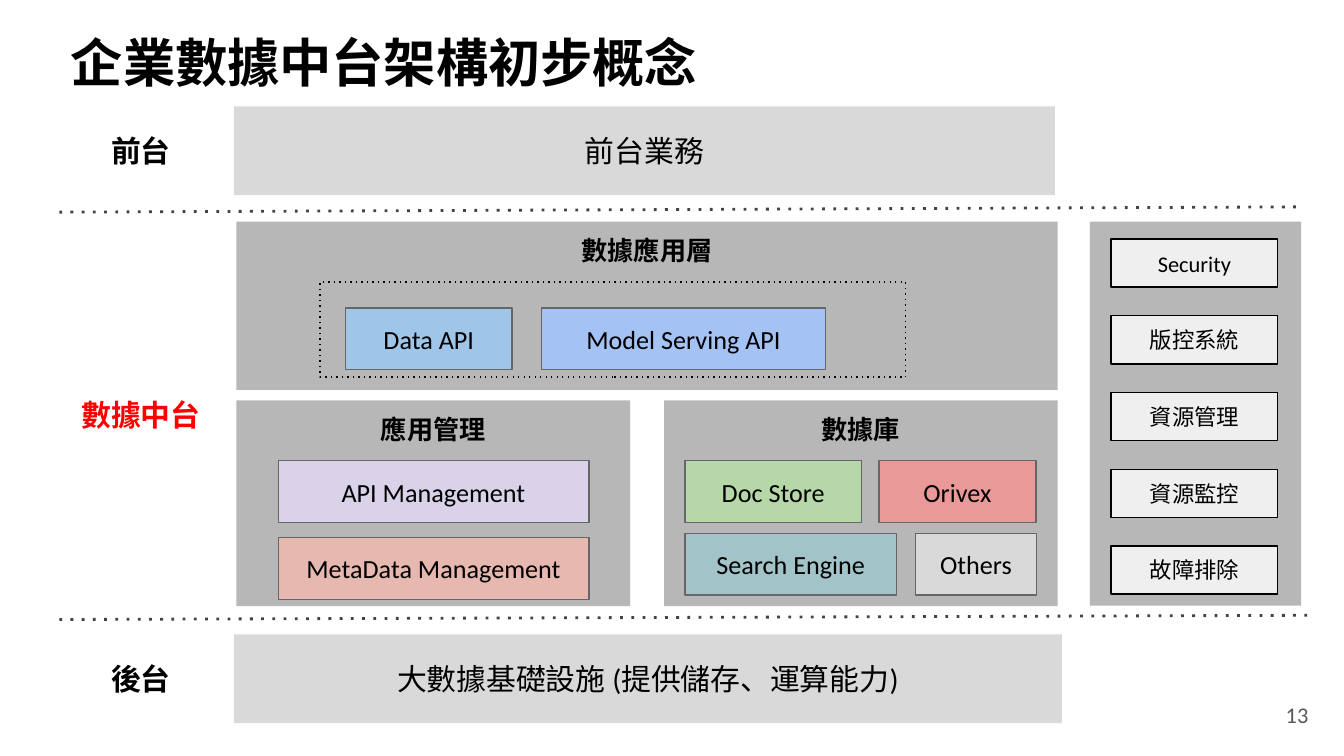
from pptx import Presentation
from pptx.dml.color import RGBColor
from pptx.enum.dml import MSO_LINE
from pptx.enum.shapes import MSO_CONNECTOR, MSO_SHAPE
from pptx.enum.text import MSO_ANCHOR as ANCHOR, PP_ALIGN as ALIGN
from pptx.oxml import parse_xml
from pptx.oxml.ns import nsdecls
from pptx.util import Cm, Pt

FONT = "Calibri"
BLACK, RED, GREY = "000000", "FF0000", "595959"
BAND, PANEL, BUTTON, OUTLINE, DIVIDER = "D9D9D9", "B7B7B7", "EFEFEF", "666666", "434343"

# Positions are in centimetres: left, top, width, height
TITLE = "企業數據中台架構初步概念"
PAGE_NUMBER = "13"
TIER_LABELS = [("前台", 2.26, BLACK), ("數據中台", 7.24, RED), ("後台", 12.24, BLACK)]
BANDS = [
    ("前台業務", 2.01, 15.52),
    ("大數據基礎設施 (提供儲存、運算能力)", 11.99, 15.65),
]
DIVIDERS = [(1.12, 4.01, 24.64, 3.91), (1.12, 11.71, 24.82, 11.63)]
LAYERS = [
    ("數據應用層", (4.47, 4.19, 15.52, 3.18)),
    ("應用管理", (4.47, 7.57, 7.44, 3.89)),
    ("數據庫", (12.55, 7.57, 7.44, 3.89)),
]
API_FRAME = (6.05, 5.33, 11.07, 1.8)
COMPONENT_HEIGHT = 1.17
# Rows of components: left, top, gap, then (text, width, fill)
COMPONENT_ROWS = [
    (6.53, 5.82, 0.56, [("Data API", 3.15, "9FC5E8"), ("Model Serving API", 5.36, "A4C2F4")]),
    (5.26, 8.71, 0, [("API Management", 5.87, "D9D2E9")]),
    (5.26, 10.16, 0, [("MetaData Management", 5.87, "E6B8AF")]),
    (12.95, 8.71, 0.33, [("Doc Store", 3.33, "B6D7A8"), ("Orivex", 2.97, "EA9999")]),
    (12.95, 10.08, 0.36, [("Search Engine", 3.99, "A2C4C9"), ("Others", 2.29, BAND)]),
]
SERVICE_PANEL = (20.6, 4.19, 3.99, 7.26)
SERVICES = ["Security", "版控系統", "資源管理", "資源監控", "故障排除"]
SERVICE_LEFT, SERVICE_TOP, SERVICE_PITCH = 21, 4.52, 1.45
SERVICE_SIZE = (3.15, 0.91)


def color(hex_text):
    return RGBColor.from_string(hex_text)


def write(shape, text, size=14, ink=BLACK, bold=False, align=ALIGN.CENTER,
          anchor=ANCHOR.MIDDLE, inset=0.25):
    frame = shape.text_frame
    frame.word_wrap = True
    frame.vertical_anchor = anchor
    frame.margin_left = frame.margin_right = Cm(0.25)
    frame.margin_top = frame.margin_bottom = Cm(inset)
    paragraph = frame.paragraphs[0]
    paragraph.alignment = align
    run = paragraph.add_run()
    run.text = text
    run.font.name = FONT
    run.font.size = Pt(size)
    run.font.bold = bold
    run.font.color.rgb = color(ink)


def add_label(slide, text, place, **text_format):
    write(slide.shapes.add_textbox(*map(Cm, place)), text, **text_format)


def add_box(slide, place, fill=None, line=None, text=None, **text_format):
    box = slide.shapes.add_shape(MSO_SHAPE.RECTANGLE, *map(Cm, place))
    box.shadow.inherit = False
    if fill:
        box.fill.solid()
        box.fill.fore_color.rgb = color(fill)
    else:
        box.fill.background()
    if line:
        box.line.color.rgb = color(line)
        box.line.width = Pt(0.75)
    else:
        box.line.fill.background()
    if text:
        write(box, text, **text_format)
    return box


def make_dotted(shape):
    shape.line.dash_style = MSO_LINE.ROUND_DOT
    shape.element.xpath(".//a:prstDash")[0].set("val", "dot")


def add_divider(slide, ends):
    divider = slide.shapes.add_connector(MSO_CONNECTOR.STRAIGHT, *map(Cm, ends))
    divider.line.color.rgb = color(DIVIDER)
    divider.line.width = Pt(1.5)
    make_dotted(divider)
    divider.element.spPr.append(parse_xml(f"<a:effectLst {nsdecls('a')}/>"))


def main():
    deck = Presentation()
    deck.slide_width, deck.slide_height = Cm(25.4), Cm(14.29)
    slide = deck.slides.add_slide(deck.slide_layouts[6])

    add_label(slide, TITLE, (1.09, 0.58, 23.19, 1.17), size=28, bold=True,
              align=ALIGN.LEFT, inset=0.13)
    add_label(slide, PAGE_NUMBER, (24.05, 13.11, 1.35, 0.79), size=12, ink=GREY,
              align=ALIGN.LEFT, inset=0.13)
    for text, top, ink in TIER_LABELS:
        add_label(slide, text, (1.09, top, 3.15, 1.17), size=16, ink=ink, bold=True,
                  anchor=ANCHOR.TOP)

    for text, top, width in BANDS:
        add_box(slide, (4.42, top, width, 1.68), BAND, text=text, size=16)
    for ends in DIVIDERS:
        add_divider(slide, ends)

    for text, place in LAYERS:
        add_box(slide, place, PANEL, text=text, bold=True, anchor=ANCHOR.TOP)
    make_dotted(add_box(slide, API_FRAME, line=BLACK))
    for left, top, gap, components in COMPONENT_ROWS:
        for text, width, fill in components:
            add_box(slide, (left, top, width, COMPONENT_HEIGHT), fill, OUTLINE, text)
            left += width + gap

    add_box(slide, SERVICE_PANEL, PANEL)
    for row, text in enumerate(SERVICES):
        place = (SERVICE_LEFT, SERVICE_TOP + row * SERVICE_PITCH, *SERVICE_SIZE)
        add_box(slide, place, BUTTON, BLACK, text, size=12)

    deck.save("out.pptx")


if __name__ == "__main__":
    main()
